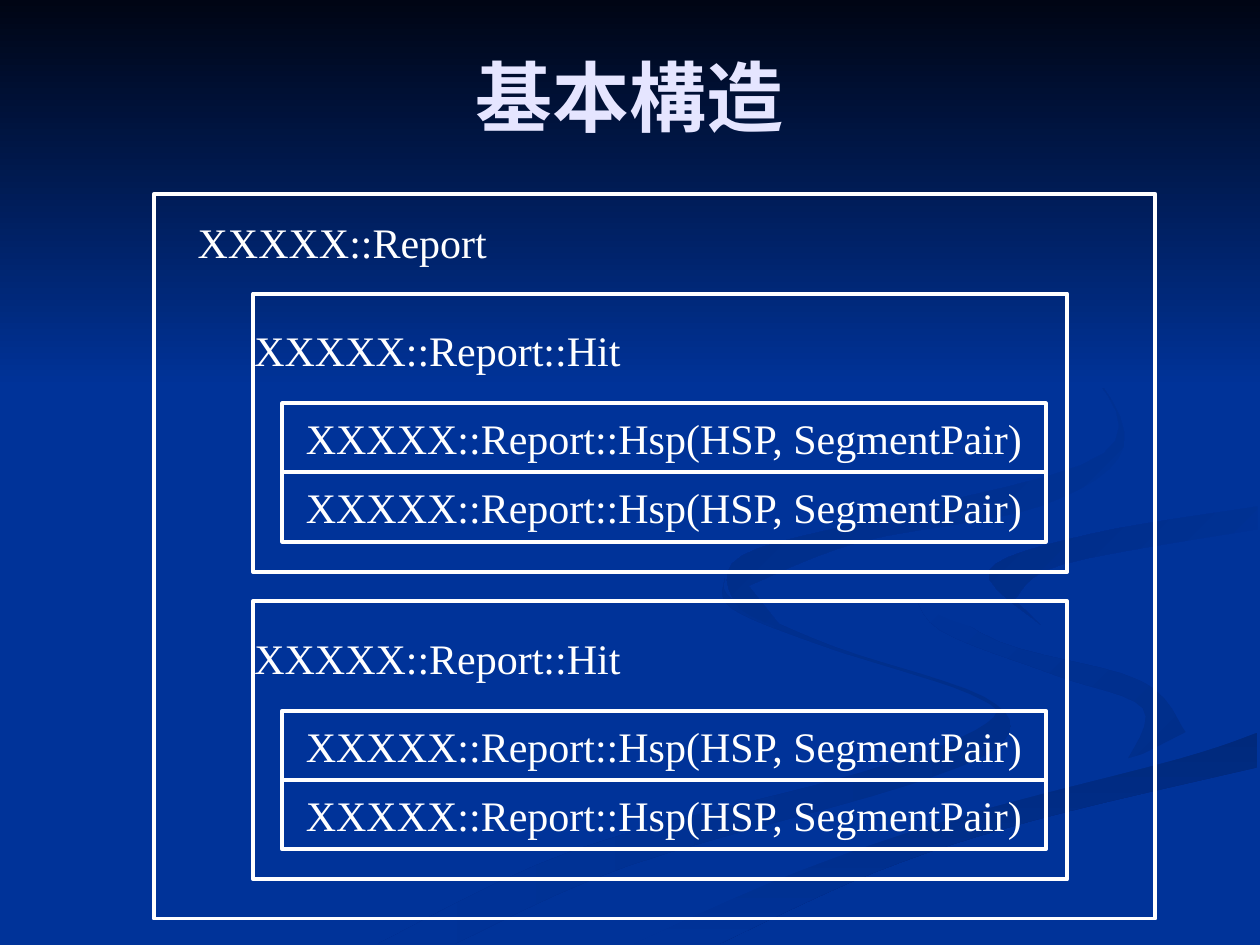
import pptx
import pptx.util
import pptx.dml.color
import pptx.enum.shapes
import pptx.enum.text

Inches = pptx.util.Inches
ALIGN = pptx.enum.text.PP_ALIGN
ANCHOR = pptx.enum.text.MSO_ANCHOR
FONT = "Times New Roman"
BLUE = "003399"
WHITE = "FFFFFF"
CURVE_STEPS = 6

TITLE = "基本構造"
REPORT = "XXXXX::Report"
SEGMENT = "XXXXX::Report::Hsp(HSP, SegmentPair)"
HITS = [("XXXXX::Report::Hit", [SEGMENT] * 2)] * 2
HIT_TOP, HIT_PITCH, HIT_HEIGHT = 2.33, 2.44, 2.21
SEGMENT_OFFSET, SEGMENT_HEIGHT = 0.87, 0.55

RIBBONS = [
    (("002E8A", BLUE), 180,
     [(5.75, 4.59), (5.81, 4.83), (6.54, 5.13), (7.7, 5.51), (7.83, 5.74),
      (6.84, 6.13), (4.58, 6.74), (3, 7.49)],
     [(3.61, 7.49), (4.99, 6.87), (7.21, 6.23), (7.97, 5.88), (7.81, 5.53),
      (6.61, 5.13), (5.83, 4.77), (5.75, 4.59)]),
    (("002E8A", BLUE), 225,
     [(7.24, 4.64), (7.46, 5), (8.38, 5.36), (9.07, 5.62), (8.94, 6.05)],
     [(9.41, 5.81), (9.05, 5.4), (7.92, 5.09), (7.24, 4.64)]),
    (("00297C", BLUE), 90,
     [(5.03, 7.49), (6.3, 6.93), (7.64, 6.47), (9.36, 6.02), (9.98, 5.81)],
     [(9.98, 6.09), (8.21, 6.51), (6.95, 6.92), (5.71, 7.49)]),
    ((BLUE,), 0,
     [(9.99, 3.87), (8.51, 4.11), (7.42, 4.39), (7.34, 4.83), (9.05, 5.4),
      (9.36, 5.87), (7.04, 6.55), (4.77, 7.49)],
     [(5.03, 7.49), (6.3, 6.93), (7.65, 6.47), (9.36, 6.02), (9.99, 5.81)],
     [(9.99, 5.38), (8.66, 5.09), (7.86, 4.73), (8, 4.42), (8.99, 4.18),
      (9.99, 4.02)]),
    ((BLUE, "002C85"), 225,
     [(9.98, 4.02), (8.65, 4.24), (7.85, 4.53), (8.26, 4.96)],
     [(8.05, 4.76), (8.43, 4.48), (9.98, 4.2)]),
    ((BLUE, "002B81"), 225,
     [(7.62, 2.33), (8.62, 2.92), (8.76, 3.6), (7.04, 4.09), (5.89, 4.41),
      (5.84, 4.79), (6.22, 5)],
     [(5.94, 4.65), (6.83, 4.3), (8.25, 4.02), (8.92, 3.54), (8.54, 2.83),
      (7.62, 2.33)]),
    (("000514", BLUE), 90, [(0, 0), (10, 0)], [(10, 3.08), (0, 3.08)]),
]


def color(value):
    return pptx.dml.color.RGBColor.from_string(value)


def paint(fill, colors, angle=0):
    if len(colors) == 1:
        fill.solid()
        fill.fore_color.rgb = color(colors[0])
        return
    fill.gradient()
    fill.gradient_angle = (360 - angle) % 360
    for position, (stop, value) in enumerate(zip(fill.gradient_stops, colors)):
        stop.position = position
        stop.color.rgb = color(value)


def spline(a, b, c, d, t):
    return b + t / 2 * (c - a + t * (2 * a - 5 * b + 4 * c - d
                                     + t * (3 * (b - c) + d - a)))


def curve(points):
    padded = [points[0], *points, points[-1]]
    smooth = []
    for group in zip(padded, padded[1:], padded[2:], padded[3:]):
        for step in range(CURVE_STEPS):
            smooth.append(tuple(spline(*axis, step / CURVE_STEPS)
                                for axis in zip(*group)))
    return smooth + [points[-1]]


def add_ribbon(slide, colors, angle, *edges):
    corners = [(Inches(x), Inches(y)) for edge in edges for x, y in curve(edge)]
    builder = slide.shapes.build_freeform(*corners[0], scale=1.0)
    builder.add_line_segments(corners[1:], close=True)
    shape = builder.convert_to_shape()
    shape.shadow.inherit = False
    shape.line.fill.background()
    paint(shape.fill, colors, angle)


def add_frame(slide, left, top, width, height):
    shape = slide.shapes.add_shape(
        pptx.enum.shapes.MSO_SHAPE.RECTANGLE,
        Inches(left), Inches(top), Inches(width), Inches(height))
    shape.shadow.inherit = False
    shape.fill.background()
    shape.line.color.rgb = color(WHITE)
    shape.line.width = pptx.util.Pt(2.25)
    return shape


def add_box(slide, left, top, width, height):
    return slide.shapes.add_textbox(
        Inches(left), Inches(top), Inches(width), Inches(height))


def write(shape, text, size=24, ink=WHITE, bold=False, align=ALIGN.LEFT,
          anchor=ANCHOR.TOP, wrap=False):
    frame = shape.text_frame
    frame.word_wrap = wrap
    frame.vertical_anchor = anchor
    paragraph = frame.paragraphs[0]
    paragraph.alignment = align
    run = paragraph.add_run()
    run.text = text
    run.font.name = FONT
    run.font.size = pptx.util.Pt(size)
    run.font.bold = bold
    run.font.color.rgb = color(ink)


def add_hit(slide, top, name, segments):
    add_frame(slide, 2.01, top, 6.46, HIT_HEIGHT)
    for index, segment in enumerate(segments):
        segment_top = top + SEGMENT_OFFSET + index * SEGMENT_HEIGHT
        shape = add_frame(slide, 2.24, segment_top, 6.06, SEGMENT_HEIGHT)
        write(shape, segment, align=ALIGN.CENTER, anchor=ANCHOR.MIDDLE)
    write(add_box(slide, 1.92, top + 0.2, 3.43, 0.5), name)


def main():
    presentation = pptx.Presentation()
    presentation.slide_width = Inches(10)
    presentation.slide_height = Inches(7.5)
    slide = presentation.slides.add_slide(presentation.slide_layouts[6])
    paint(slide.background.fill, (BLUE,))
    for ribbon in RIBBONS:
        add_ribbon(slide, *ribbon)
    add_frame(slide, 1.22, 1.54, 7.95, 5.75)
    write(add_box(slide, 1.47, 1.67, 2.69, 0.5), REPORT)
    for index, (name, segments) in enumerate(HITS):
        add_hit(slide, HIT_TOP + index * HIT_PITCH, name, segments)
    write(add_box(slide, 0.5, 0.21, 9, 1.1), TITLE, size=44, ink="E5E5FF",
          bold=True, align=ALIGN.CENTER, anchor=ANCHOR.MIDDLE, wrap=True)
    presentation.save("out.pptx")


if __name__ == "__main__":
    main()
